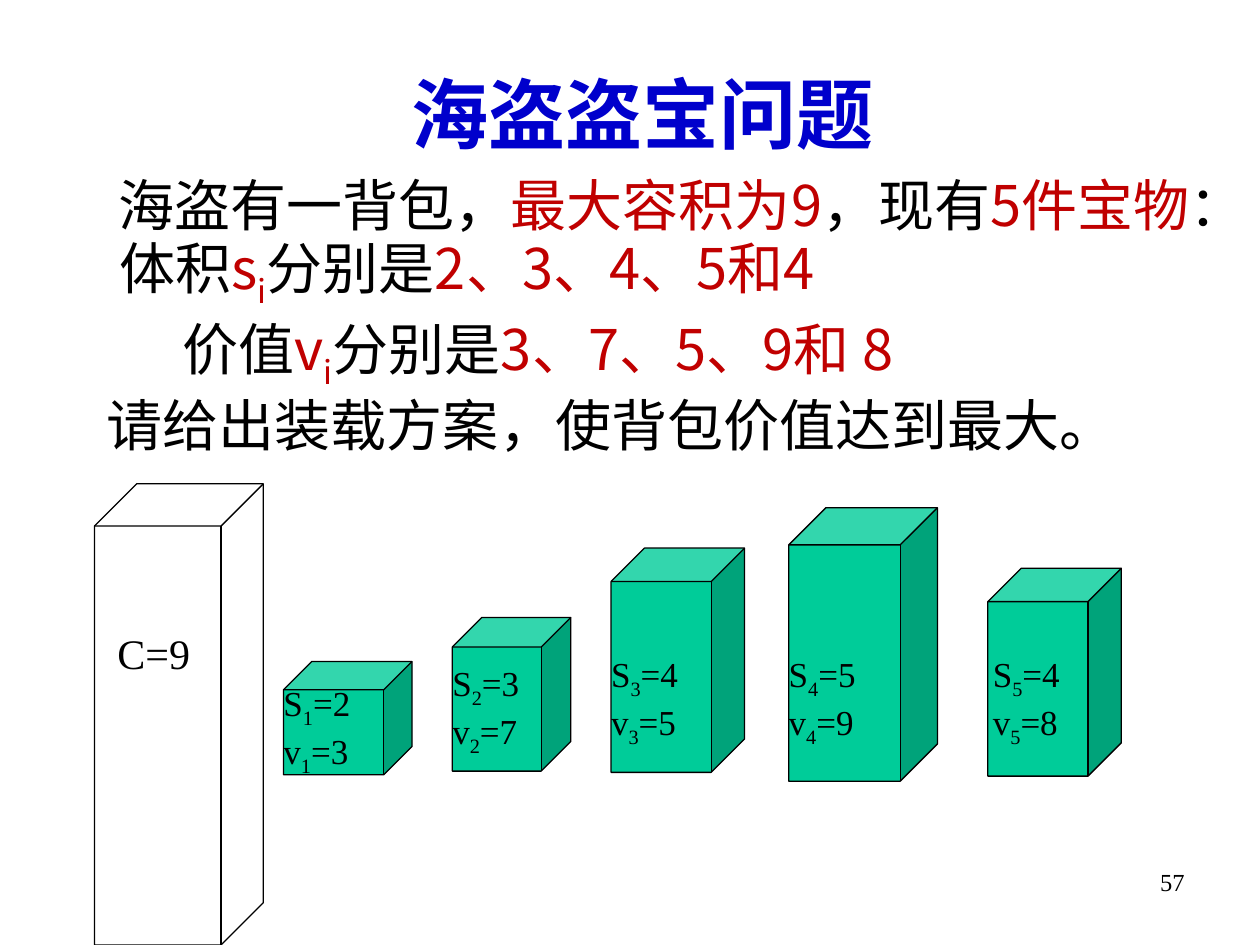
from lxml import etree
from pptx import Presentation
from pptx import util as u
from pptx.dml.color import RGBColor
from pptx.enum import shapes, text
from pptx.oxml import ns

PX = 9144
BLACK = RGBColor(0x00, 0x00, 0x00)
BLUE = RGBColor(0x00, 0x00, 0xCC)
RED = RGBColor(0xC0, 0x00, 0x00)
GREEN = RGBColor(0x00, 0xCC, 0x99)
SERIF = "Times New Roman"
SANS = "Noto Sans CJK SC"
LEFT, CENTER, RIGHT = text.PP_ALIGN.LEFT, text.PP_ALIGN.CENTER, text.PP_ALIGN.RIGHT


def px(length):
    return u.Emu(length * PX)


class Board:
    def __init__(self, slide):
        self.slide = slide

    def cube(self, left, top, width, height, fill=None):
        cube = self.slide.shapes.add_shape(
            shapes.MSO_SHAPE.CUBE, px(left), px(top), px(width), px(height))
        cube.adjustments[0] = 0.25
        cube.shadow.inherit = False
        cube.line.color.rgb = BLACK
        cube.line.width = u.Pt(0.75)
        if fill is None:
            cube.fill.background()
        else:
            cube.fill.solid()
            cube.fill.fore_color.rgb = fill

    def frame(self, left, top, width, height, wrap=True, inset=True):
        frame = self.slide.shapes.add_textbox(
            px(left), px(top), px(width), px(height)).text_frame
        frame.word_wrap = wrap
        if not inset:
            frame.margin_left = frame.margin_right = 0
            frame.margin_top = frame.margin_bottom = 0
        return frame

    def paragraph(self, frame, runs, size, align=LEFT, font=SERIF, bold=False,
                  indent=0, tab=None, before=0, spacing=None):
        first = frame.paragraphs[0]
        paragraph = frame.add_paragraph() if first.runs else first
        paragraph.alignment = align
        properties = paragraph._p.get_or_add_pPr()
        if indent:
            properties.set("marL", "0")
            properties.set("indent", str(px(indent)))
        if tab:
            tabs = etree.SubElement(properties, ns.qn("a:tabLst"))
            etree.SubElement(tabs, ns.qn("a:tab"), pos=str(px(tab)), algn="l")
        if before:
            paragraph.space_before = u.Pt(before)
        if spacing:
            paragraph.line_spacing = spacing
        paragraph.font.size = u.Pt(size)
        paragraph.font.bold = bold
        paragraph.font.name = font
        for words, color, *sub in runs:
            run = paragraph.add_run()
            run.text = words
            run.font.color.rgb = color
            run_properties = run._r.get_or_add_rPr()
            if sub:
                run_properties.set("baseline", "-25000")
            etree.SubElement(run_properties, ns.qn("a:ea"), typeface=SANS)

    def treasure(self, number, volume, value, box, label_at):
        self.cube(*box, fill=GREEN)
        label = self.frame(*label_at, 83, 67, inset=False)
        for letter, amount in (("S", volume), ("v", value)):
            self.paragraph(label, [(letter, BLACK), (str(number), BLACK, True),
                                   (f"={amount}", BLACK)], 20)


def main():
    deck = Presentation()
    deck.slide_width, deck.slide_height = px(1000), px(750)
    board = Board(deck.slides.add_slide(deck.slide_layouts[6]))

    page = board.frame(717, 683, 233, 50)
    board.paragraph(page, [("57", BLACK)], 14, RIGHT)

    title = board.frame(169, 48, 683, 83)
    title.vertical_anchor = text.MSO_ANCHOR.MIDDLE
    board.paragraph(title, [("海盗盗宝问题", BLUE)], 44, CENTER, bold=True)

    body = board.frame(35, 139, 933, 260)
    volumes = [("海盗有一背包，", BLACK), ("最大容积为9", RED), ("，现有", BLACK),
               ("5件宝物", RED), ("：\t体积", BLACK), ("s", RED), ("i", RED, True),
               ("分别是", BLACK), ("2、3、4、5和4", RED)]
    values = [("价值", BLACK), ("v", RED), ("i", RED, True),
              ("分别是", BLACK), ("3、7、5、9和 8", RED)]
    request = [("请给出装载方案，使背包价值达到最大。", BLACK)]
    board.paragraph(body, volumes, 32, font=SANS, indent=49, tab=200, spacing=0.84)
    for runs, indent in ((values, 100), (request, 40)):
        board.paragraph(body, runs, 32, font=SANS, indent=indent, before=10, spacing=0.84)

    board.cube(75, 384, 134, 366)
    treasures = [
        (2, 3, (225, 525, 102, 90), (225, 541)),
        (3, 7, (359, 490, 94, 122), (359, 525)),
        (4, 5, (485, 435, 106, 178), (485, 518)),
        (5, 9, (626, 403, 118, 217), (626, 518)),
        (4, 8, (784, 451, 106, 165), (788, 518)),
    ]
    for number, treasure in enumerate(treasures, 1):
        board.treasure(number, *treasure)

    capacity = board.frame(83, 493, 78, 50, wrap=False)
    board.paragraph(capacity, [("C=9", BLACK)], 24, CENTER)

    deck.save("out.pptx")


if __name__ == "__main__":
    main()
